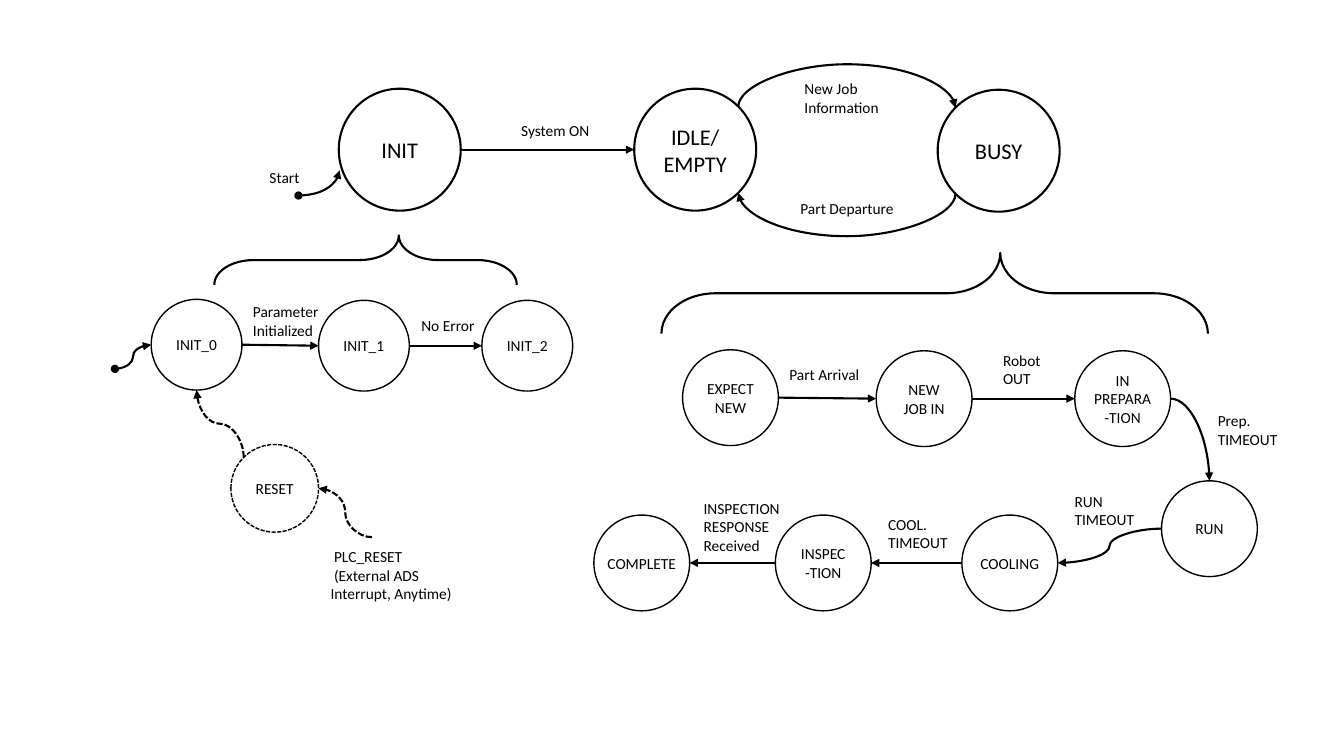
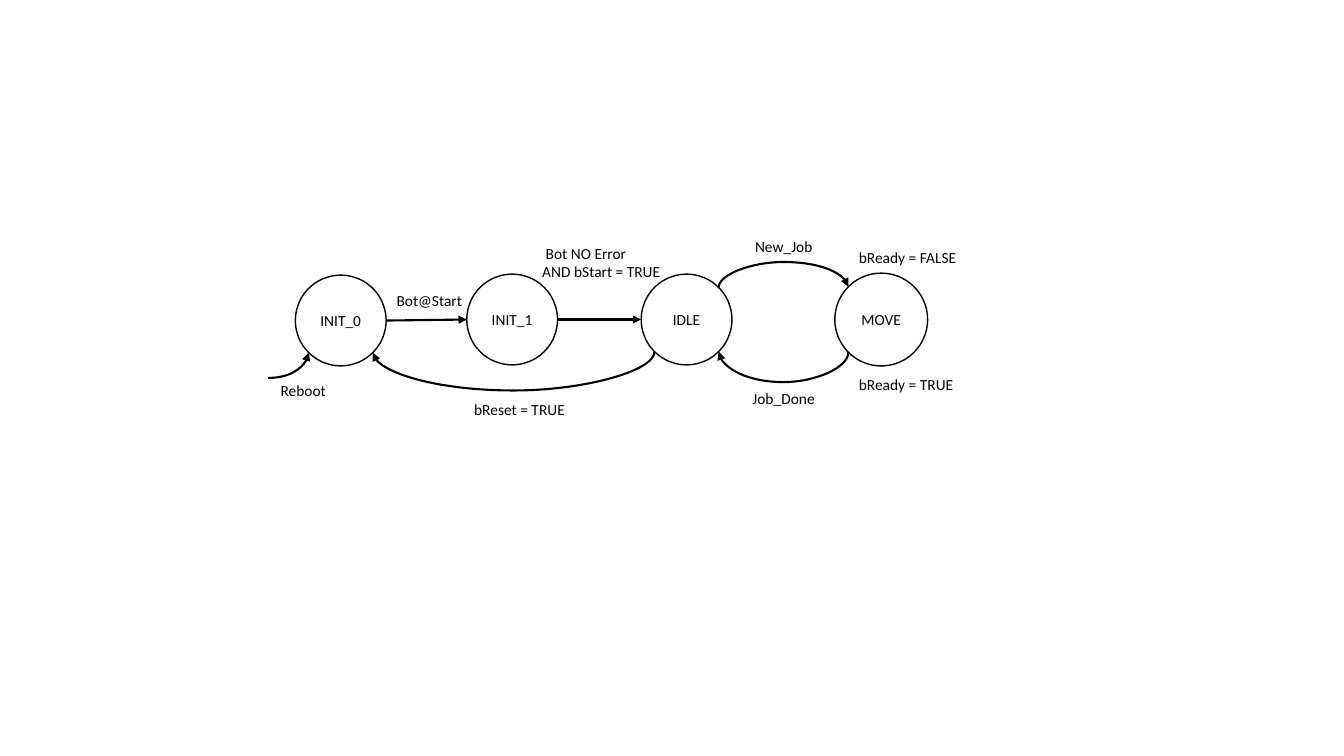
"""Draw the state diagrams of a work cell and its robot."""
from dataclasses import dataclass
from math import sqrt
from typing import Any, NamedTuple

from pptx import Presentation
from pptx import util as u
from pptx.dml.color import RGBColor
from pptx.enum import dml, shapes, text
from pptx.oxml import ns, xmlchemy

BLACK, WHITE = "000000", "FFFFFF"
FONT = "Calibri"
SMALL, LARGE = 11, 16
THIN, THICK = 1, 1.5
LINE_HEIGHT, LABEL_PADDING = 0.18, 0.11
DIAGONAL = 1 / sqrt(2)
PORTS = {
    "N": (0, -1), "E": (1, 0), "S": (0, 1), "W": (-1, 0),
    "NE": (DIAGONAL, -DIAGONAL), "SE": (DIAGONAL, DIAGONAL),
    "SW": (-DIAGONAL, DIAGONAL), "NW": (-DIAGONAL, -DIAGONAL),
}


class Point(NamedTuple):
    x: float
    y: float


@dataclass(frozen=True)
class State:
    name: str
    text: str
    left: float
    top: float
    size: float
    font_size: int = SMALL
    dashed: bool = False
    wrap: bool = True

    def port(self, side: str) -> Point:
        radius = self.size / 2
        across, down = PORTS[side]
        return Point(self.left + radius * (1 + across), self.top + radius * (1 + down))


@dataclass(frozen=True)
class Arrow:
    start: str | Point
    end: str | Point
    route: str = "straight"
    turn_y: float | None = None
    dashed: bool = False
    dot: bool = False


@dataclass(frozen=True)
class Label:
    text: str
    left: float
    top: float
    width: float
    lines: int = 1


@dataclass(frozen=True)
class Brace:
    left: float
    top: float
    width: float
    height: float
    curve: float
    tip: float


@dataclass(frozen=True)
class Diagram:
    states: list[State]
    arrows: list[Arrow]
    labels: list[Label]
    braces: list[Brace]


CELL = Diagram(
    states=[
        State("INIT", "INIT", 3.36, 0.88, 1.21, LARGE),
        State("IDLE", "IDLE/\nEMPTY", 6.29, 0.88, 1.21, LARGE),
        State("BUSY", "BUSY", 9.3, 0.89, 1.21, LARGE),
        State("INIT_0", "INIT_0", 1.5, 2.97, 0.9),
        State("INIT_1", "INIT_1", 3.16, 2.98, 0.9),
        State("INIT_2", "INIT_2", 4.78, 2.98, 0.9),
        State("RESET", "RESET", 2.29, 4.41, 0.87, dashed=True),
        State("EXPECT", "EXPECT\nNEW", 6.77, 3.47, 0.95),
        State("NEW_JOB", "NEW JOB IN", 8.69, 3.48, 0.95),
        State("PREPARE", "IN\nPREPARA\n-TION", 10.66, 3.48, 0.95, wrap=False),
        State("RUN", "RUN", 11.52, 4.77, 0.95),
        State("COOLING", "COOLING", 9.54, 5.11, 0.95, wrap=False),
        State("INSPECT", "INSPEC-TION", 7.69, 5.11, 0.95),
        State("COMPLETE", "COMPLETE", 5.89, 5.11, 0.95, wrap=False),
    ],
    arrows=[
        Arrow(Point(2.96, 1.94), Point(3.37, 1.69), "corner", dot=True),
        Arrow("INIT.E", "IDLE.W"),
        Arrow("IDLE.NE", "BUSY.NW", "down", 0.63),
        Arrow("BUSY.SW", "IDLE.SE", "down", 2.35),
        Arrow(Point(1.14, 3.66), "INIT_0.W", "across", dot=True),
        Arrow("INIT_0.E", "INIT_1.W"),
        Arrow("INIT_1.E", "INIT_2.W"),
        Arrow("RESET.NW", "INIT_0.S", "down", dashed=True),
        Arrow(Point(3.69, 5.33), "RESET.E", "across", dashed=True),
        Arrow("EXPECT.E", "NEW_JOB.W"),
        Arrow("NEW_JOB.E", "PREPARE.W", "across"),
        Arrow("PREPARE.E", "RUN.N", "corner"),
        Arrow("RUN.W", "COOLING.E", "across"),
        Arrow("COOLING.W", "INSPECT.E"),
        Arrow("INSPECT.W", "COMPLETE.E"),
    ],
    labels=[
        Label(" Start", 2.54, 1.62, 0.73),
        Label("System ON", 5.07, 1.15, 1.01),
        Label("New Job Information", 7.88, 0.74, 1.21, 2),
        Label("Part Departure", 7.84, 1.93, 1.3),
        Label("Parameter Initialized", 2.41, 2.95, 0.95, 2),
        Label("No Error", 4.08, 3.09, 0.95),
        Label(" PLC_RESET\n (External ADS Interrupt, Anytime)", 3.18, 5.38, 1.48, 3),
        Label("Part Arrival", 7.73, 3.57, 1.04),
        Label("Robot OUT", 9.85, 3.43, 0.87, 2),
        Label("Prep. TIMEOUT", 11.98, 4.03, 0.87, 2),
        Label("RUN TIMEOUT", 10.56, 4.83, 0.87, 2),
        Label("COOL. TIMEOUT", 8.71, 5.06, 0.87, 2),
        Label("INSPECTION\nRESPONSE Received", 6.88, 4.9, 1, 3),
    ],
    braces=[
        Brace(3.38, 1.08, 0.49, 3, 0.79, 0.39),
        Brace(8.87, 0.2, 0.8, 5.42, 0.67, 0.38),
    ],
)

ROBOT = Diagram(
    states=[
        State("INIT_0", "INIT_0", 2.93, 2.73, 0.9),
        State("INIT_1", "INIT_1", 4.63, 2.72, 0.9),
        State("IDLE", "IDLE", 6.36, 2.72, 0.9),
        State("MOVE", "MOVE", 8.28, 2.71, 0.92),
    ],
    arrows=[
        Arrow(Point(2.66, 3.75), "INIT_0.SW", "corner"),
        Arrow("INIT_0.E", "INIT_1.W"),
        Arrow("INIT_1.E", "IDLE.W"),
        Arrow("IDLE.SW", "INIT_0.SE", "down", 3.88),
        Arrow("IDLE.NE", "MOVE.NW", "down", 2.6),
        Arrow("MOVE.SW", "IDLE.SE", "down", 3.79),
    ],
    labels=[
        Label(" Reboot", 2.65, 3.73, 0.73),
        Label(" Bot@Start", 3.8, 2.84, 1.27),
        Label(" Bot NO Error\nAND bStart = TRUE", 5.28, 2.37, 1.53, 2),
        Label(" bReset = TRUE", 4.57, 3.92, 1.27),
        Label("New_Job", 7.39, 2.3, 0.92),
        Label(" Job_Done", 7.33, 3.81, 0.95),
        Label("bReady = FALSE", 8.42, 2.41, 1.26),
        Label("bReady = TRUE", 8.42, 3.67, 1.26),
    ],
    braces=[],
)


def set_values(target: Any, values: dict[str, Any]) -> None:
    for name, value in values.items():
        setattr(target, name, value)


def paint(fill: Any, colour: str) -> None:
    fill.solid()
    fill.fore_color.rgb = RGBColor.from_string(colour)


def stroke(shape: Any, width: float, dashed: bool = False) -> None:
    paint(shape.line.fill, BLACK)
    shape.line.width = u.Pt(width)
    if dashed:
        shape.line.dash_style = dml.MSO_LINE.SQUARE_DOT


def write(shape: Any, words: str, size: int, align: Any, frame_values: dict[str, Any]) -> None:
    frame = shape.text_frame
    frame.text = words
    set_values(frame, frame_values)
    for para in frame.paragraphs:
        para.alignment = align
        for span in para.runs:
            set_values(span.font, {"name": FONT, "size": u.Pt(size)})
            paint(span.font.fill, BLACK)


def add_state(page: Any, state: State) -> None:
    box = [u.Inches(n) for n in (state.left, state.top, state.size, state.size)]
    circle = page.shapes.add_shape(shapes.MSO_SHAPE.OVAL, *box)
    circle.shadow.inherit = False
    paint(circle.fill, WHITE)
    stroke(circle, THICK if state.font_size == LARGE else THIN, state.dashed)
    write(circle, state.text, state.font_size, text.PP_ALIGN.CENTER,
          {"word_wrap": state.wrap, "vertical_anchor": text.MSO_ANCHOR.MIDDLE})


def add_label(page: Any, label: Label) -> None:
    height = LABEL_PADDING + LINE_HEIGHT * label.lines
    box = page.shapes.add_textbox(*[u.Inches(n) for n in (label.left, label.top, label.width, height)])
    write(box, label.text, SMALL, text.PP_ALIGN.LEFT,
          {"word_wrap": True, "auto_size": text.MSO_AUTO_SIZE.SHAPE_TO_FIT_TEXT})


def add_brace(page: Any, brace: Brace) -> None:
    box = [u.Inches(n) for n in (brace.left, brace.top, brace.width, brace.height)]
    shape = page.shapes.add_shape(shapes.MSO_SHAPE.LEFT_BRACE, *box)
    shape.shadow.inherit = False
    shape.rotation = 90
    shape.adjustments[0] = brace.curve
    shape.adjustments[1] = brace.tip
    shape.fill.background()
    stroke(shape, THICK)


def add_child(parent: Any, tag: str, **values: str) -> None:
    child = xmlchemy.OxmlElement(tag)
    for name, value in values.items():
        child.set(name, value)
    parent.append(child)


def add_arrow(page: Any, arrow: Arrow, states: dict[str, State]) -> None:
    def locate(place: str | Point) -> Point:
        if isinstance(place, Point):
            return place
        name, side = place.split(".")
        return states[name].port(side)

    start, end = locate(arrow.start), locate(arrow.end)
    rise, run = end.y - start.y, end.x - start.x
    begin, finish = start, end
    if arrow.route == "down":
        middle = Point((start.x + end.x) / 2, (start.y + end.y) / 2)
        begin = Point(middle.x - rise / 2, middle.y + run / 2)
        finish = Point(middle.x + rise / 2, middle.y - run / 2)
    kind = shapes.MSO_CONNECTOR.STRAIGHT if arrow.route == "straight" else shapes.MSO_CONNECTOR.CURVE
    connector = page.shapes.add_connector(kind, *[u.Inches(n) for n in (*begin, *finish)])
    stroke(connector, THICK, arrow.dashed)
    properties = connector.element.spPr
    geometry = properties.find(ns.qn("a:prstGeom"))
    if arrow.route == "corner":
        geometry.set("prst", "curvedConnector2")
    if arrow.route == "down":
        properties.find(ns.qn("a:xfrm")).set("rot", "5400000")
    if arrow.turn_y is not None:
        bend = round((arrow.turn_y - start.y) / rise * 100000)
        add_child(geometry.find(ns.qn("a:avLst")), "a:gd", name="adj1", fmla=f"val {bend}")
    line = properties.find(ns.qn("a:ln"))
    if arrow.dot:
        add_child(line, "a:headEnd", type="oval")
    add_child(line, "a:tailEnd", type="triangle")
    add_child(properties, "a:effectLst")


def add_diagram(deck: Any, diagram: Diagram) -> None:
    page = deck.slides.add_slide(deck.slide_layouts[6])
    states = {state.name: state for state in diagram.states}
    for state in diagram.states:
        add_state(page, state)
    for brace in diagram.braces:
        add_brace(page, brace)
    for arrow in diagram.arrows:
        add_arrow(page, arrow, states)
    for label in diagram.labels:
        add_label(page, label)


def main() -> None:
    deck = Presentation()
    set_values(deck, {"slide_width": u.Inches(13.33), "slide_height": u.Inches(7.5)})
    for diagram in (CELL, ROBOT):
        add_diagram(deck, diagram)
    deck.save("out.pptx")


if __name__ == "__main__":
    main()
